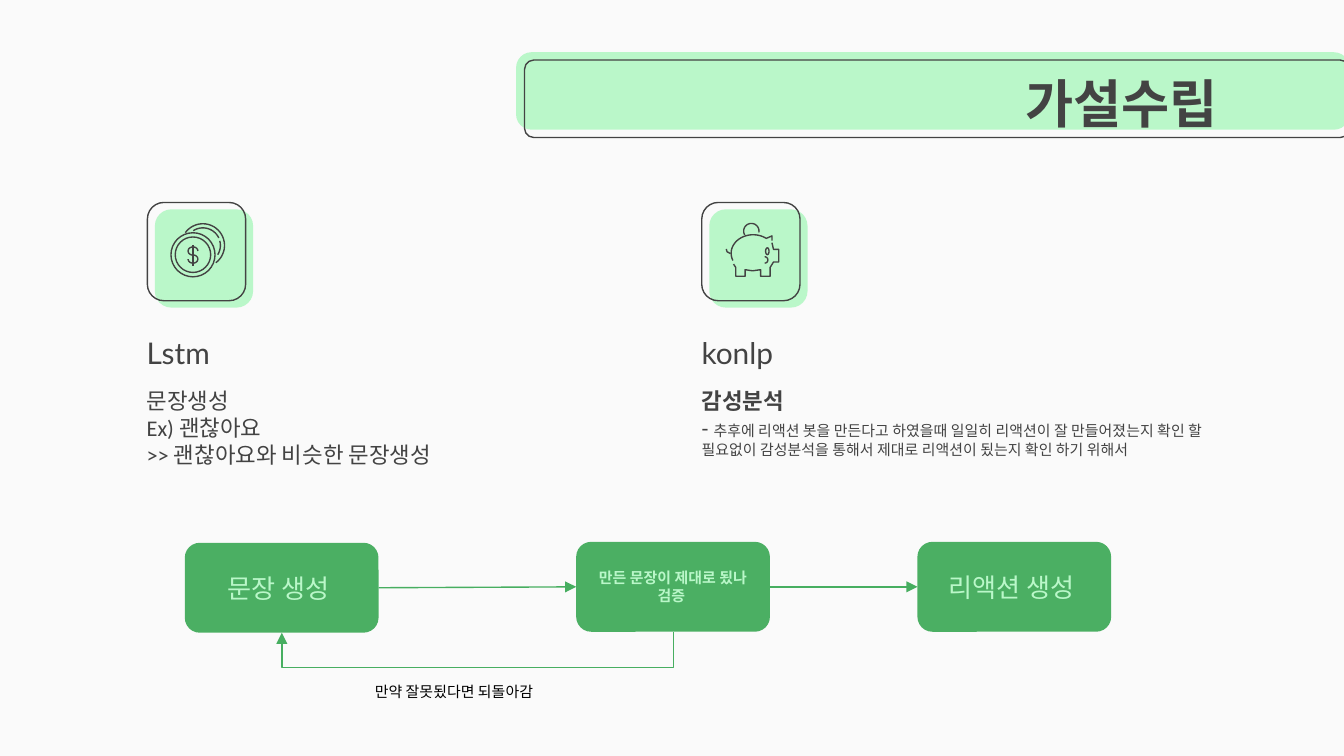
from math import cos, radians, sin

from lxml.etree import SubElement
from pptx import Presentation
from pptx.dml.color import RGBColor
from pptx.enum.shapes import MSO_CONNECTOR as Link, MSO_SHAPE as Preset
from pptx.enum.text import MSO_ANCHOR as Anchor, PP_ALIGN as Align
from pptx.oxml.ns import qn
from pptx.util import Pt

MINT, GREEN, ARROW, DARK = "BAF7C9", "4BAF63", "47AE60", "434343"
hex_color = RGBColor.from_string


def paint(shape, fill=None, line=None):
    """Set the fill and the thin outline of a shape, and remove its shadow."""
    shape.shadow.inherit = False
    if fill:
        shape.fill.solid()
        shape.fill.fore_color.rgb = hex_color(fill)
    else:
        shape.fill.background()
    if line:
        shape.line.color.rgb = hex_color(line)
        shape.line.width = Pt(0.75)
    else:
        shape.line.fill.background()


def write(box, paras, font, color, align=Align.LEFT, anchor=Anchor.TOP, inset=None):
    """Fill a box with paragraphs, each a list of (text, size, bold) spans."""
    frame = box.text_frame
    formats = {"word_wrap": True, "vertical_anchor": anchor}
    if inset is not None:
        for side in ("left", "right", "top", "bottom"):
            formats[f"margin_{side}"] = Pt(inset)
    for name, value in formats.items():
        setattr(frame, name, value)
    for index, spans in enumerate(paras):
        para = frame.add_paragraph() if index else frame.paragraphs[0]
        para.alignment = align
        for text, size, bold in spans:
            span = para.add_run()
            span.text = text
            span.font.color.rgb = hex_color(color)
            for name, value in {"size": Pt(size), "bold": bold, "name": font}.items():
                setattr(span.font, name, value)
            SubElement(span.font._element, qn("a:ea"), typeface="Noto Sans CJK KR")


deck = Presentation()
deck.slide_width, deck.slide_height = Pt(720), Pt(405)
page = deck.slides.add_slide(deck.slide_layouts[5])
shapes = page.shapes
page.background.fill.solid()
page.background.fill.fore_color.rgb = hex_color("FAFAFA")

# Banner, icon tiles: left, top, width, height, corner, fill, line
panels = [
    (276.5, 28, 446.5, 41.5, 0.2, MINT, None),
    (281, 32.2, 442, 41.5, 0.12, None, DARK),
]
for tile_left in (79, 376):
    panels += [
        (tile_left + 4, 112.2, 52.6, 52.6, 0.167, MINT, None),
        (tile_left, 108.5, 52.6, 52.6, 0.167, None, DARK),
    ]
for left, top, width, height, corner, fill, line in panels:
    panel = shapes.add_shape(
        Preset.ROUNDED_RECTANGLE, Pt(left), Pt(top), Pt(width), Pt(height))
    panel.adjustments[0] = corner
    paint(panel, fill, line)

# Title, in front of the banner
title = shapes.title
place = {"left": 408.2, "top": 36, "width": 251.3, "height": 38.2}
for name, value in place.items():
    setattr(title, name, Pt(value))
write(title, [[("가설수립", 28, True)]], "Noto Sans CJK KR", DARK,
      Align.RIGHT, Anchor.MIDDLE, 7.2)
title.element.getparent().append(title.element)

# Icon arcs: centre x, centre y, radius x, radius y, start and end angle
arcs = [
    (103.4, 136.5, 11.8, 11.8, 0, 360),
    (103.4, 136.5, 9.5, 9.5, 0, 360),
    (108.7, 131.5, 11.6, 11.6, 216, 413),
    (108.7, 131.5, 9.4, 9.4, 237, 335),
    (108.7, 131.5, 9.4, 9.4, -15, 32),
    (103.4, 134.5, 2.6, 2.2, 0, -270),
    (103.4, 138.8, 2.6, 2.2, -90, 180),
    (403.5, 135.7, 11.8, 9.9, 157, 306),
    (402.5, 123.8, 4.1, 4.1, 150, 370),
    (411.1, 134.6, 0.9, 1.8, 0, 360),
    (409.7, 139.3, 1.7, 1.7, -90, 90),
]
strokes = [
    [(103.4, 131.2), (103.4, 142.4)],
    [(389.1, 133.4), (389.5, 134.9), (391.3, 135.9)],
    [(410.4, 127.8), (413.6, 126.4), (413.6, 128.9)],
    [(393, 141.5), (394.2, 143.3), (394.2, 148), (399.2, 148), (399.2, 144.5),
     (403.2, 145.1), (407.5, 144.5), (407.5, 148), (412.6, 148), (412.6, 143.3),
     (414.4, 140.4), (417.2, 140.4), (417.2, 133.6), (414.4, 133.6), (413.6, 130)],
]
STEPS = 32
for x, y, radius_x, radius_y, start, end in arcs:
    angles = [radians(start + (end - start) * step / STEPS) for step in range(STEPS + 1)]
    strokes.append([(x + radius_x * cos(a), y + radius_y * sin(a)) for a in angles])
for stroke in strokes:
    points = [(Pt(x), Pt(y)) for x, y in stroke]
    outline = shapes.build_freeform(*points[0])
    outline.add_line_segments(points[1:], close=False)
    paint(outline.convert_to_shape(), line=DARK)

# Headings, descriptions and the note under the return arrow
lstm_lines = ["문장생성", "Ex) 괜찮아요", ">> 괜찮아요와 비슷한 문장생성 "]
konlp_reason = ("추후에 리액션 봇을 만든다고 하였을때 일일히 리액션이 잘 만들어졌는지 확인 할 "
                "필요없이 감성분석을 통해서 제대로 리액션이 됬는지 확인 하기 위해서")
konlp_paras = [[("감성분석", 12, True)], [("- ", 12, False), (konlp_reason, 8, False)]]
texts = [
    (71.5, 175.7, 200, 30.2, [[("Lstm ", 16, False)]], "Lato", DARK, Anchor.BOTTOM, 7.2),
    (368.8, 175.7, 200, 30.2, [[("konlp", 16, False)]], "Lato", DARK, Anchor.BOTTOM, 7.2),
    (71.5, 200.2, 232, 65.5, [[(line, 12, False)] for line in lstm_lines],
     "Calibri", DARK, Anchor.TOP, 7.2),
    (368.8, 200.2, 306, 65.5, konlp_paras, "Calibri", DARK, Anchor.TOP, 7.2),
    (193.7, 362.2, 167, 17.3, [[("만약 잘못됬다면 되돌아감", 8, False)]],
     "Arial", "000000", Anchor.TOP, None),
]
for left, top, width, height, paras, font, color, anchor, inset in texts:
    box = shapes.add_textbox(Pt(left), Pt(top), Pt(width), Pt(height))
    write(box, paras, font, color, anchor=anchor, inset=inset)

# Flow steps
steps = []
for left, top, text, size, bold in [
    (99, 290.8, "문장 생성 ", 14, False),
    (308.7, 290.3, "만든 문장이 제대로 됬나 검증 ", 8, True),
    (491.5, 290.3, "리액션 생성 ", 14, False),
]:
    step = shapes.add_shape(
        Preset.ROUNDED_RECTANGLE, Pt(left), Pt(top), Pt(103.8), Pt(48.2))
    paint(step, GREEN)
    write(step, [[(text, size, bold)]], "Arial", MINT, Align.CENTER, Anchor.MIDDLE)
    steps.append(step)

# Arrows: two forward, one turned a quarter that leads back
arrows = []
for source, target in zip(steps, steps[1:]):
    arrow = shapes.add_connector(Link.STRAIGHT, 0, 0, 0, 0)
    arrow.begin_connect(source, 3)
    arrow.end_connect(target, 1)
    arrows.append(arrow)
back = shapes.add_connector(Link.ELBOW, Pt(255.6), Pt(233.9), Pt(256.07), Pt(443.6))
back._element.spPr.find(qn("a:xfrm")).set("rot", "5400000")
guides = back._element.spPr.find(qn("a:prstGeom")).find(qn("a:avLst"))
SubElement(guides, qn("a:gd"), name="adj1", fmla="val 3977200")
arrows.append(back)
for arrow in arrows:
    arrow.line.color.rgb = hex_color(ARROW)
    arrow.line.width = Pt(0.75)
    SubElement(arrow.line._get_or_add_ln(), qn("a:tailEnd"), type="triangle")
    SubElement(arrow._element.spPr, qn("a:effectLst"))

deck.save("out.pptx")
